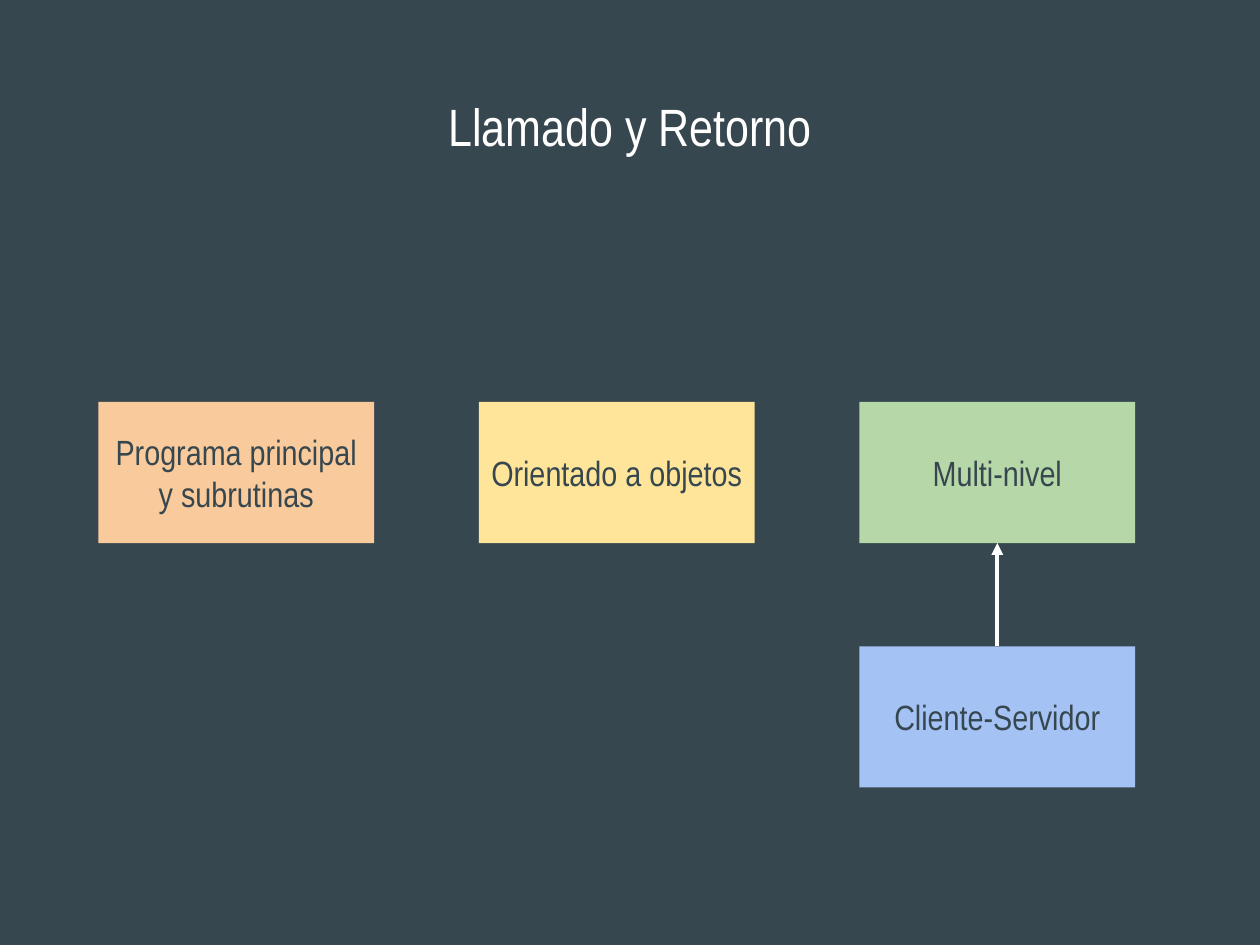
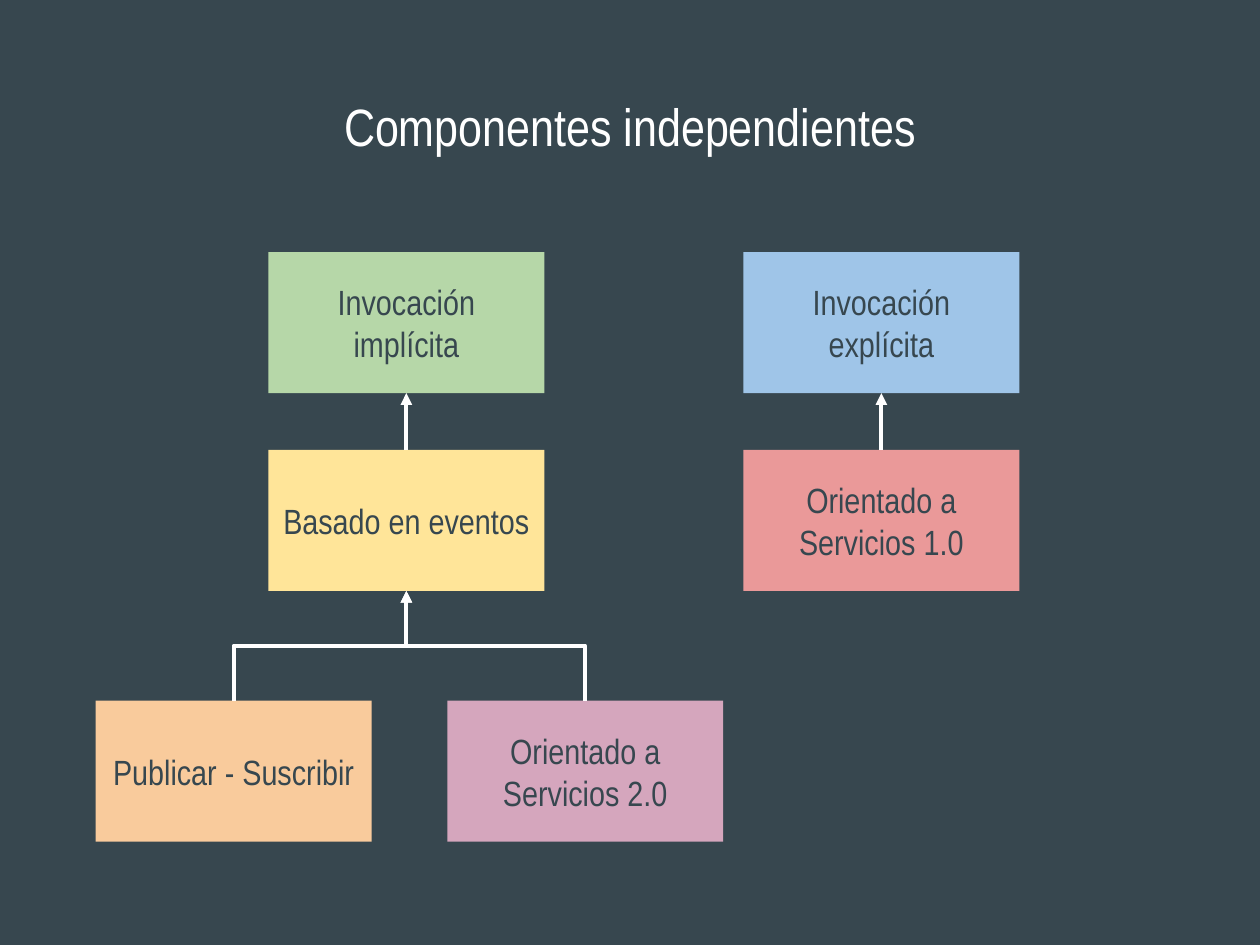
from dataclasses import dataclass

from pptx import Presentation
from pptx.dml.color import RGBColor
from pptx.enum.shapes import MSO_CONNECTOR, MSO_SHAPE
from pptx.enum.text import MSO_ANCHOR, PP_ALIGN
from pptx.oxml.ns import qn
from pptx.util import Inches, Pt
from lxml.etree import SubElement


@dataclass(frozen=True)
class Theme:
    font: str = "Arial Narrow"
    title_size: int = 30
    box_size: int = 20
    line_width: float = 2.25
    slate: str = "37474F"
    white: str = "FFFFFF"
    orange: str = "F9CB9C"
    yellow: str = "FFE599"
    green: str = "B6D7A8"
    periwinkle: str = "A4C2F4"
    sky: str = "9FC5E8"
    pink: str = "D5A6BD"
    red: str = "EA9999"


THEME = Theme()
BOX_WIDTH, BOX_HEIGHT = 2.19, 1.12
TOP_SIDE, BOTTOM_SIDE = 0, 2


def rgb(color):
    return RGBColor.from_string(color)


def write(frame, text, size, color, anchor):
    """Fill a text frame with centred text, one paragraph per line."""
    frame.word_wrap = True
    frame.vertical_anchor = anchor
    frame.margin_left = frame.margin_right = Inches(0.1)
    frame.margin_top = frame.margin_bottom = Inches(0.1)
    frame.text = text
    for paragraph in frame.paragraphs:
        paragraph.alignment = PP_ALIGN.CENTER
        paragraph.font.name = THEME.font
        paragraph.font.size = Pt(size)
        paragraph.font.color.rgb = rgb(color)


def add_titled_slide(deck, title):
    slide = deck.slides.add_slide(deck.slide_layouts[6])
    slide.background.fill.solid()
    slide.background.fill.fore_color.rgb = rgb(THEME.slate)
    heading = slide.shapes.add_textbox(
        Inches(0.34), Inches(0.65), Inches(9.32), Inches(0.83))
    write(heading.text_frame, title, THEME.title_size, THEME.white, MSO_ANCHOR.TOP)
    return slide


def add_style_box(slide, left, top, text, color):
    box = slide.shapes.add_shape(
        MSO_SHAPE.RECTANGLE, Inches(left), Inches(top),
        Inches(BOX_WIDTH), Inches(BOX_HEIGHT))
    box.shadow.inherit = False
    box.fill.solid()
    box.fill.fore_color.rgb = rgb(color)
    box.line.fill.background()
    write(box.text_frame, text, THEME.box_size, THEME.slate, MSO_ANCHOR.MIDDLE)
    return box


def turn_upright(elbow, child, parent):
    """Rotate an elbow so that it leaves and arrives vertically."""
    run = parent.left - child.left
    rise = child.top - (parent.top + parent.height)
    center_x = child.left + child.width // 2 + run // 2
    center_y = child.top - rise // 2
    elbow.width, elbow.height = rise, abs(run)
    elbow.left = center_x - rise // 2
    elbow.top = center_y - abs(run) // 2
    xfrm = elbow._element.spPr.find(qn("a:xfrm"))
    degrees = 270 if run > 0 else 90
    xfrm.set("rot", str(degrees * 60000))
    xfrm.set("flipH", "0" if run > 0 else "1")
    xfrm.set("flipV", "0")


def add_arrow(slide, child, parent):
    """Point from the top of the child box to the bottom of its parent."""
    aligned = child.left == parent.left
    kind = MSO_CONNECTOR.STRAIGHT if aligned else MSO_CONNECTOR.ELBOW
    arrow = slide.shapes.add_connector(kind, 0, 0, 0, 0)
    arrow.begin_connect(child, TOP_SIDE)
    arrow.end_connect(parent, BOTTOM_SIDE)
    if not aligned:
        turn_upright(arrow, child, parent)
    arrow.line.color.rgb = rgb(THEME.white)
    arrow.line.width = Pt(THEME.line_width)
    properties = arrow._element.spPr
    SubElement(properties.find(qn("a:ln")), qn("a:tailEnd"), type="triangle")
    SubElement(properties, qn("a:effectLst"))


def build_call_and_return(deck):
    slide = add_titled_slide(deck, "Llamado y Retorno")
    first_left, pitch, row_top = 0.78, 3.02, 3.19
    styles = [
        ("Programa principal y subrutinas", THEME.orange),
        ("Orientado a objetos", THEME.yellow),
        ("Multi-nivel", THEME.green),
    ]
    for column, (text, color) in enumerate(styles):
        multilevel = add_style_box(
            slide, first_left + column * pitch, row_top, text, color)
    client_server = add_style_box(
        slide, first_left + 2 * pitch, 5.13, "Cliente-Servidor", THEME.periwinkle)
    add_arrow(slide, client_server, multilevel)


def build_independent_components(deck):
    slide = add_titled_slide(deck, "Componentes independientes")
    implicit_left, explicit_left = 2.13, 5.9
    top_row, middle_row, bottom_row = 2, 3.57, 5.56
    implicit = add_style_box(
        slide, implicit_left, top_row, "Invocación\nimplícita", THEME.green)
    explicit = add_style_box(
        slide, explicit_left, top_row, "Invocación\nexplícita", THEME.sky)
    event_based = add_style_box(
        slide, implicit_left, middle_row, "Basado en eventos", THEME.yellow)
    services_1 = add_style_box(
        slide, explicit_left, middle_row, "Orientado a Servicios 1.0", THEME.red)
    publish = add_style_box(
        slide, 0.76, bottom_row, "Publicar - Suscribir", THEME.orange)
    services_2 = add_style_box(
        slide, 3.55, bottom_row, "Orientado a Servicios 2.0", THEME.pink)
    for child, parent in [
        (publish, event_based),
        (services_2, event_based),
        (event_based, implicit),
        (services_1, explicit),
    ]:
        add_arrow(slide, child, parent)


def main():
    deck = Presentation()
    deck.slide_width, deck.slide_height = Inches(10), Inches(7.5)
    build_call_and_return(deck)
    build_independent_components(deck)
    deck.save("out.pptx")


if __name__ == "__main__":
    main()
